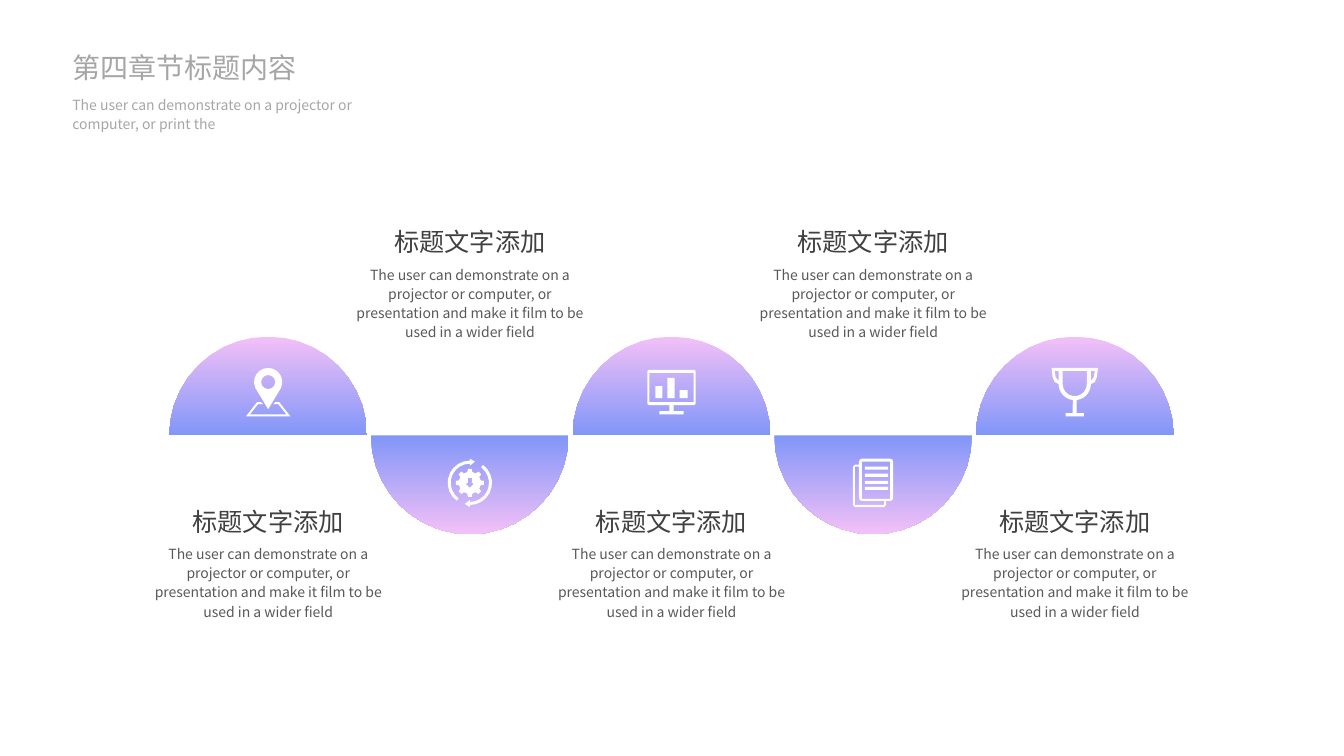
from math import cos, radians, sin

from pptx import Presentation
from pptx.dml.color import RGBColor
from pptx.enum.text import MSO_ANCHOR as Anchor, MSO_AUTO_SIZE as AutoSize, PP_ALIGN as Align
from pptx.oxml.ns import qn
from pptx.util import Inches, Pt

FONT = "Noto Sans CJK SC"
LIGHT_GRAY = RGBColor(0xA6, 0xA6, 0xA6)
DARK_GRAY = RGBColor(0x40, 0x40, 0x40)
MID_GRAY = RGBColor(0x59, 0x59, 0x59)
PINK = RGBColor(0xF3, 0xC0, 0xF7)
BLUE = RGBColor(0x81, 0x96, 0xF8)
WHITE = RGBColor(0xFF, 0xFF, 0xFF)

HEADING = "标题文字添加"
BODY = ("The user can demonstrate on a projector or computer, or presentation "
        "and make it film to be used in a wider field")
FIRST_CENTER, PITCH = 2.66, 2.0
BASELINE, RADIUS = 4.32, 0.98


# Text
def set_text(shape, text, size, color, align=Align.LEFT, line_spacing=1.0):
    frame = shape.text_frame
    frame.word_wrap = True
    frame.auto_size = AutoSize.NONE
    frame.vertical_anchor = Anchor.TOP
    paragraph = frame.paragraphs[0]
    paragraph.alignment = align
    paragraph.line_spacing = line_spacing
    run = paragraph.add_run()
    run.text = text
    run.font.size = Pt(size)
    run.font.name = FONT
    run.font.color.rgb = color
    east_asian = run.font._element.makeelement(qn("a:ea"), {"typeface": FONT})
    run.font._element.find(qn("a:latin")).addnext(east_asian)


def add_text(slide, left, top, width, height, text, **text_format):
    box = slide.shapes.add_textbox(Inches(left), Inches(top), Inches(width), Inches(height))
    set_text(box, text, **text_format)


# Outlines, as lists of points around a centre
def arc(x, y, radius, start, end, steps=9):
    angles = [radians(start + (end - start) * i / steps) for i in range(steps + 1)]
    return [(x + radius * cos(a), y + radius * sin(a)) for a in angles]


def rectangle(left, top, right, bottom):
    return [(left, top), (right, top), (right, bottom), (left, bottom)]


def rounded(left, top, right, bottom, r):
    return (arc(left + r, top + r, r, 180, 270, 2) + arc(right - r, top + r, r, 270, 360, 2)
            + arc(right - r, bottom - r, r, 0, 90, 2) + arc(left + r, bottom - r, r, 90, 180, 2))


def mirrored(points):
    return [(-x, y) for x, y in reversed(points)]


def symmetric(points):
    return points + mirrored(points)


def add_outline(slide, x, y, contours):
    builder = None
    for contour in contours:
        points = [(Inches(x + dx), Inches(y + dy)) for dx, dy in contour]
        if builder is None:
            builder = slide.shapes.build_freeform(*points[0])
        else:
            builder.move_to(*points[0])
        builder.add_line_segments(points[1:], close=True)
    shape = builder.convert_to_shape()
    shape.shadow.inherit = False
    shape.line.fill.background()
    return shape


# Icons
def pin_icon():
    drop = arc(0, -0.1, 0.14, 155, 385, 12) + [(0, 0.17)]
    ground = symmetric([(0.05, 0.12), (0.07, 0.1), (0.11, 0.1), (0.22, 0.24)])
    ground += symmetric([(-0.1, 0.12), (-0.18, 0.22)])
    return [ground, drop, arc(0, -0.1, 0.07, 0, 360, 12)]


def gear_icon():
    gear = []
    for tooth in range(0, 360, 45):
        gear += arc(0, 0, 0.14, tooth - 8, tooth + 8, 1) + arc(0, 0, 0.11, tooth + 13, tooth + 32, 1)
    arrow = symmetric([(0.02, -0.05), (0.02, 0), (0.04, 0.01), (0, 0.05)])
    orbit = (arc(0, 0, 0.22, -54, 90) + [(0, 0.24), (-0.05, 0.21), (0, 0.17)]
             + arc(0, 0, 0.19, 90, -54))
    return [gear, arrow, orbit, [(-x, -y) for x, y in orbit]]


def chart_icon():
    return [rounded(-0.24, -0.22, 0.24, 0.13, 0.02), rectangle(-0.22, -0.19, 0.22, 0.1),
            rectangle(-0.16, -0.06, -0.09, 0.06), rectangle(-0.04, -0.14, 0.03, 0.06),
            rectangle(0.08, -0.02, 0.16, 0.06),
            rectangle(-0.02, 0.13, 0.02, 0.19), rectangle(-0.12, 0.19, 0.12, 0.22)]


def document_icon():
    back = [(-0.14, -0.18), (-0.14, -0.16), (-0.18, -0.16), (-0.18, 0.22), (0.11, 0.22),
            (0.11, 0.18), (0.13, 0.18), (0.13, 0.22), (0.11, 0.24), (-0.18, 0.24),
            (-0.2, 0.22), (-0.2, -0.16), (-0.18, -0.18)]
    lines = [rectangle(-0.08, y, 0.15, y + 0.03) for y in (-0.16, -0.09, -0.02, 0.04)]
    return [back, rounded(-0.14, -0.24, 0.2, 0.18, 0.03),
            rectangle(-0.11, -0.21, 0.17, 0.16)] + lines


def trophy_icon():
    cup = symmetric([(0.23, -0.24), (0.22, -0.15), (0.2, -0.1), (0.16, -0.08)]
                    + arc(0, -0.08, 0.16, 5, 83, 6)
                    + [(0.02, 0.21), (0.09, 0.21), (0.09, 0.24)])
    bowl = [(-0.12, -0.21), (0.12, -0.21)] + arc(0, -0.08, 0.12, 0, 180)
    handle = [(0.16, -0.21), (0.2, -0.21), (0.19, -0.15), (0.16, -0.11)]
    return [cup, bowl, handle, mirrored(handle)]


# One step of the wave: half disc, icon and caption
def add_step(slide, center, icon, is_upper):
    start = 180 if is_upper else 0
    half_disc = add_outline(slide, center, BASELINE, [arc(0, 0, RADIUS, start, start + 180, 20)])
    half_disc.fill.gradient()
    half_disc.fill.gradient_angle = 270
    colors = (PINK, BLUE) if is_upper else (BLUE, PINK)
    for stop, position, color in zip(half_disc.fill.gradient_stops, (0, 1), colors):
        stop.position = position
        stop.color.rgb = color

    symbol = add_outline(slide, center, 3.89 if is_upper else 4.79, icon)
    symbol.fill.solid()
    symbol.fill.fore_color.rgb = WHITE

    top = 4.97 if is_upper else 2.2
    add_text(slide, center - 1.17, top, 2.34, 0.4, HEADING,
             size=18, color=DARK_GRAY, align=Align.CENTER)
    add_text(slide, center - 1.29, top + 0.37, 2.58, 0.87, BODY,
             size=10, color=MID_GRAY, align=Align.CENTER, line_spacing=1.14)


def add_header(slide):
    title = slide.shapes.title
    title.left, title.top = Inches(0.62), Inches(0.45)
    title.width, title.height = Inches(3.12), Inches(0.44)
    set_text(title, "第四章节标题内容", size=20, color=LIGHT_GRAY)
    add_text(slide, 0.62, 0.88, 3.57, 0.48,
             "The user can demonstrate on a projector or computer, or print the",
             size=10, color=LIGHT_GRAY, line_spacing=1.14)


def main():
    presentation = Presentation()
    presentation.slide_width = Inches(13.33)
    presentation.slide_height = Inches(7.5)
    slide = presentation.slides.add_slide(presentation.slide_layouts[5])
    add_header(slide)
    icons = (pin_icon(), gear_icon(), chart_icon(), document_icon(), trophy_icon())
    for index, icon in enumerate(icons):
        add_step(slide, FIRST_CENTER + index * PITCH, icon, is_upper=index % 2 == 0)
    presentation.save("out.pptx")


if __name__ == "__main__":
    main()
